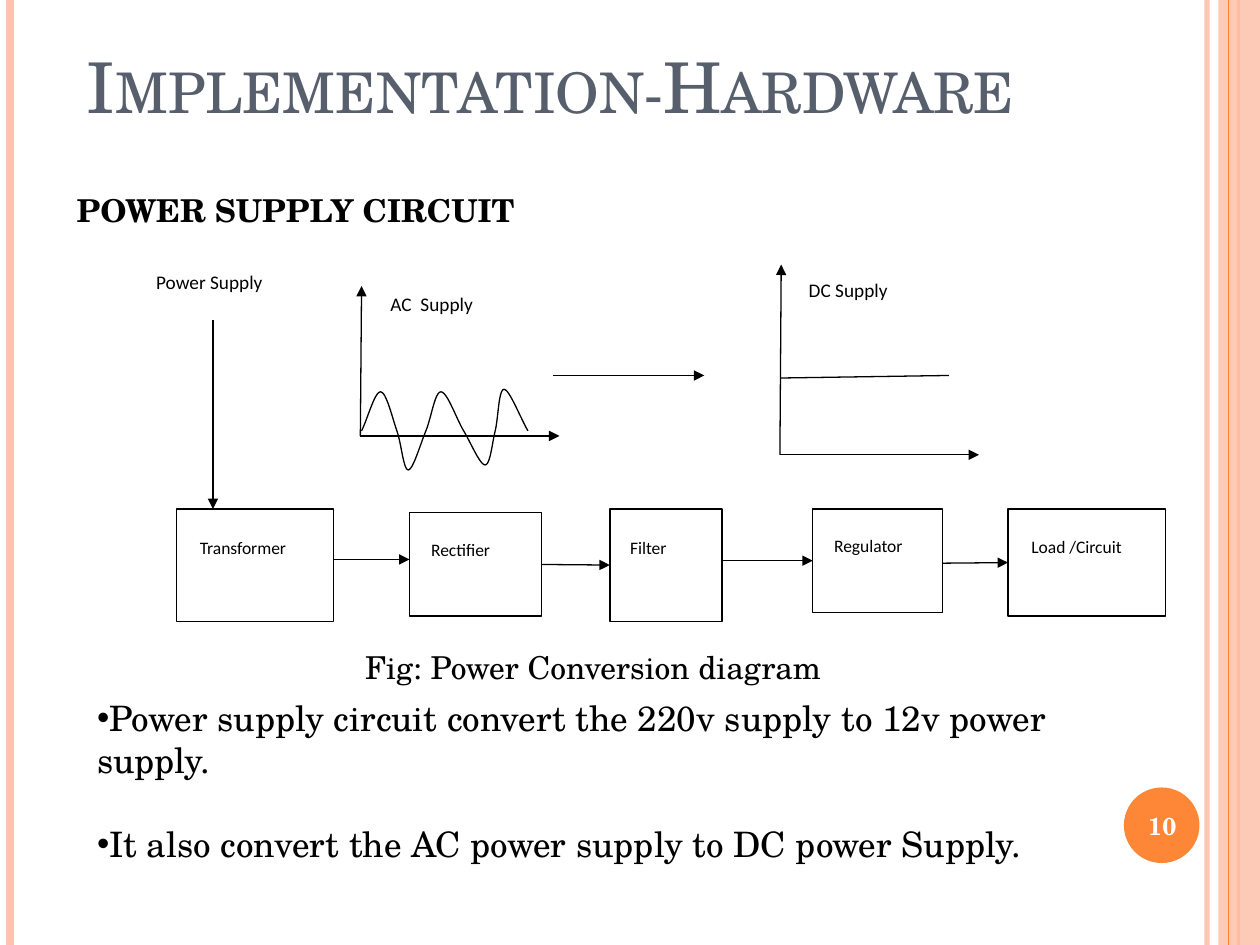
from lxml import etree
from pptx import Presentation
from pptx import util as u
from pptx.dml import color as dml
from pptx.enum import shapes, text
from pptx.oxml import ns

COLORS = {"ink": "000000", "paper": "FFFFFF", "title": "575F6D",
          "orange": "FE8637", "peach": "FEC3AE"}
SERIF, SANS = "TeX Gyre Schola", "Calibri"
ALIGN, ANCHOR = text.PP_ALIGN, text.MSO_ANCHOR


def rgb(name):
    """Return the named colour."""
    return dml.RGBColor.from_string(COLORS[name])


def inches(*values):
    """Convert numbers to inch lengths."""
    return [u.Inches(value) for value in values]


def child(parent, tag, **attributes):
    """Append a DrawingML element."""
    return etree.SubElement(parent, ns.qn(tag), attributes)


def set_opacity(shape, percent):
    """Make the first solid colour of a shape partly transparent."""
    tint = next(shape._element.spPr.iter(ns.qn("a:srgbClr")))
    child(tint, "a:alpha", val=str(percent * 1000))


def write(shape, lines, size, font=SANS, color="ink", bold=False, align=ALIGN.LEFT,
          anchor=ANCHOR.TOP, after=0, gap=0, bullet=None, small_caps=False):
    """Write formatted paragraphs into a shape."""
    frame = shape.text_frame
    frame.word_wrap = True
    frame.auto_size = text.MSO_AUTO_SIZE.NONE
    frame.vertical_anchor = anchor
    for index, line in enumerate(lines):
        para = frame.add_paragraph() if index else frame.paragraphs[0]
        para.alignment = align
        para.space_before = u.Pt(gap if index else 0)
        para.space_after = u.Pt(after)
        if bullet:
            properties = para._p.get_or_add_pPr()
            properties.set("marL", "0")
            properties.set("indent", "0")
            child(properties, "a:buChar", char=bullet)
        span = para.add_run()
        span.text = line
        span.font.size, span.font.name, span.font.bold = u.Pt(size), font, bold
        span.font.color.rgb = rgb(color)
        if small_caps:
            span._r.get_or_add_rPr().set("cap", "small")


def add_text(page, box, line, size, **style):
    """Add a text box."""
    write(page.shapes.add_textbox(*inches(*box)), [line], size, **style)


def add_block(page, box, fill, line=None, kind=shapes.MSO_SHAPE.RECTANGLE):
    """Add a filled preset shape."""
    block = page.shapes.add_shape(kind, *inches(*box))
    block.shadow.inherit = False
    block.fill.solid()
    block.fill.fore_color.rgb = rgb(fill)
    if line:
        block.line.color.rgb = rgb(line)
        block.line.width = u.Pt(0.75)
    else:
        block.line.fill.background()
    return block


def add_line(page, start, end, color="ink", width=0.75, arrow=False):
    """Add a straight line, optionally ending in an arrowhead."""
    line = page.shapes.add_connector(shapes.MSO_CONNECTOR.STRAIGHT, *inches(*start, *end))
    line.line.color.rgb = rgb(color)
    line.line.width = u.Pt(width)
    if arrow:
        child(line.line._get_or_add_ln(), "a:tailEnd", type="triangle")
    child(line._element.spPr, "a:effectLst")
    return line


def add_curve(page, points, steps=12):
    """Draw a smooth open curve through the points."""
    (x0, y0), (x1, y1) = points[:2]
    (xm, ym), (xn, yn) = points[-2:]
    knots = [(2 * x0 - x1, 2 * y0 - y1), *points, (2 * xn - xm, 2 * yn - ym)]
    trace = []
    for window in zip(knots, knots[1:], knots[2:], knots[3:]):
        for step in range(1, steps + 1):
            t = step / steps
            weights = (-t + 2 * t**2 - t**3, 2 - 5 * t**2 + 3 * t**3,
                       t + 4 * t**2 - 3 * t**3, t**3 - t**2)
            trace.append(tuple(sum(w * knot[axis] for w, knot in zip(weights, window)) / 2
                               for axis in (0, 1)))
    builder = page.shapes.build_freeform(*inches(x0, y0), scale=1.0)
    builder.add_line_segments([inches(*point) for point in trace], close=False)
    curve = builder.convert_to_shape()
    curve.shadow.inherit = False
    curve.fill.background()
    curve.line.color.rgb = rgb("ink")
    curve.line.width = u.Pt(0.75)


def add_frame(page, width, height):
    """Draw the side stripes and the page number badge."""
    for x, color, weight in ((9.58, "peach", 3), (0.08, "peach", 4.5), (9.83, "orange", 1.5)):
        stripe = add_line(page, (x, 0), (x, height), color, weight)
        if weight == 3:
            set_opacity(stripe, 93)
    set_opacity(add_block(page, (9.67, 0, width - 9.67, height), "peach"), 87)
    add_line(page, (9.75, 0), (9.75, height), "orange")
    add_block(page, (8.92, 6.25, 0.6, 0.6), "orange", kind=shapes.MSO_SHAPE.OVAL)
    add_text(page, (8.89, 6.27, 0.67, 0.57), "10", 14, font=SERIF, color="paper",
             bold=True, align=ALIGN.CENTER, anchor=ANCHOR.MIDDLE)


def add_axes(page, box, label, label_at):
    """Draw a labelled pair of axes with the origin at the bottom left of the box."""
    left, top, width, height = box
    origin = (left, top + height)
    add_line(page, origin, (left + 0.01, top), arrow=True)
    add_line(page, origin, (left + width, top + height), arrow=True)
    add_text(page, (*label_at, 1.29, 0.66), label, 11, after=10)


def add_waveforms(page):
    """Draw the AC and DC graphs with the arrow between them."""
    add_axes(page, (2.86, 2.27, 1.58, 1.19), "AC  Supply", (3, 2.27))
    add_curve(page, [(2.87, 3.42), (3.02, 3.11), (3.15, 3.42), (3.24, 3.73),
                     (3.38, 3.42), (3.5, 3.11), (3.68, 3.42), (3.85, 3.69),
                     (3.93, 3.42), (4, 3.09), (4.19, 3.42)])
    add_line(page, (4.39, 2.98), (5.59, 2.98), arrow=True)
    add_axes(page, (6.19, 2.1, 1.58, 1.51), "DC Supply", (6.32, 2.16))
    add_line(page, (6.2, 3), (7.53, 2.98))


def add_stage(page, box, label):
    """Draw one outlined stage with its label panel inside."""
    left, top, width, height = box
    stage = add_block(page, box, "paper", "ink")
    panel = (left + 0.07 * width, top + 0.19 * height, 0.86 * width, 0.66 * height)
    write(add_block(page, panel, "paper", "paper"), [label], 10, after=10)
    return stage


def add_chain(page):
    """Draw the conversion stages and the arrows that link them."""
    stages = [add_stage(page, box, label) for label, box in (
        ("Transformer", (1.4, 4.04, 1.25, 0.89)),
        ("Rectifier", (3.25, 4.07, 1.05, 0.82)),
        ("Filter", (4.84, 4.04, 0.89, 0.89)),
        ("Regulator", (6.45, 4.04, 1.03, 0.82)),
        ("Load /Circuit", (8, 4.04, 1.25, 0.85)))]
    links = ((4.44, False, False), (4.48, True, True), (4.45, False, True), (4.47, False, True))
    for source, target, (y, join_start, join_end) in zip(stages, stages[1:], links):
        start = (source.left + source.width) / u.Inches(1)
        link = add_line(page, (start, y), (target.left / u.Inches(1), y), arrow=True)
        if join_start:
            link.begin_connect(source, 3)
        if join_end:
            link.end_connect(target, 1)
    add_line(page, (1.69, 2.54), (1.69, 4.04), arrow=True)
    add_text(page, (1.14, 2.1, 1.29, 0.66), "Power Supply", 11, after=10)


def fill_placeholder(shape, box, lines, size, **style):
    """Move a placeholder into the box and write its text."""
    shape.left, shape.top, shape.width, shape.height = inches(*box)
    write(shape, lines, size, font=SERIF, **style)


def main():
    """Build and save the slide."""
    deck = Presentation()
    deck.slide_width, deck.slide_height = inches(10, 7.5)
    page = deck.slides.add_slide(deck.slide_layouts[1])
    add_frame(page, 10, 7.5)
    fill_placeholder(page.shapes.title, (0.59, 0.29, 8.17, 0.77), ["Implementation-Hardware"],
                     40, color="title", align=ALIGN.JUSTIFY, anchor=ANCHOR.BOTTOM,
                     small_caps=True)
    add_waveforms(page)
    add_chain(page)
    add_text(page, (0.51, 1.47, 4.09, 0.4), "POWER SUPPLY CIRCUIT", 18, font=SERIF, bold=True)
    fill_placeholder(page.placeholders[1], (0.67, 5.48, 8.43, 1.45),
                     ["Power supply circuit convert the 220v supply to 12v power supply.",
                      "It also convert the AC power supply to DC power Supply."],
                     20, gap=24, bullet="•")
    add_text(page, (2.8, 5.09, 4.09, 0.4), "Fig: Power Conversion diagram", 18, font=SERIF)
    deck.save("out.pptx")


if __name__ == "__main__":
    main()
